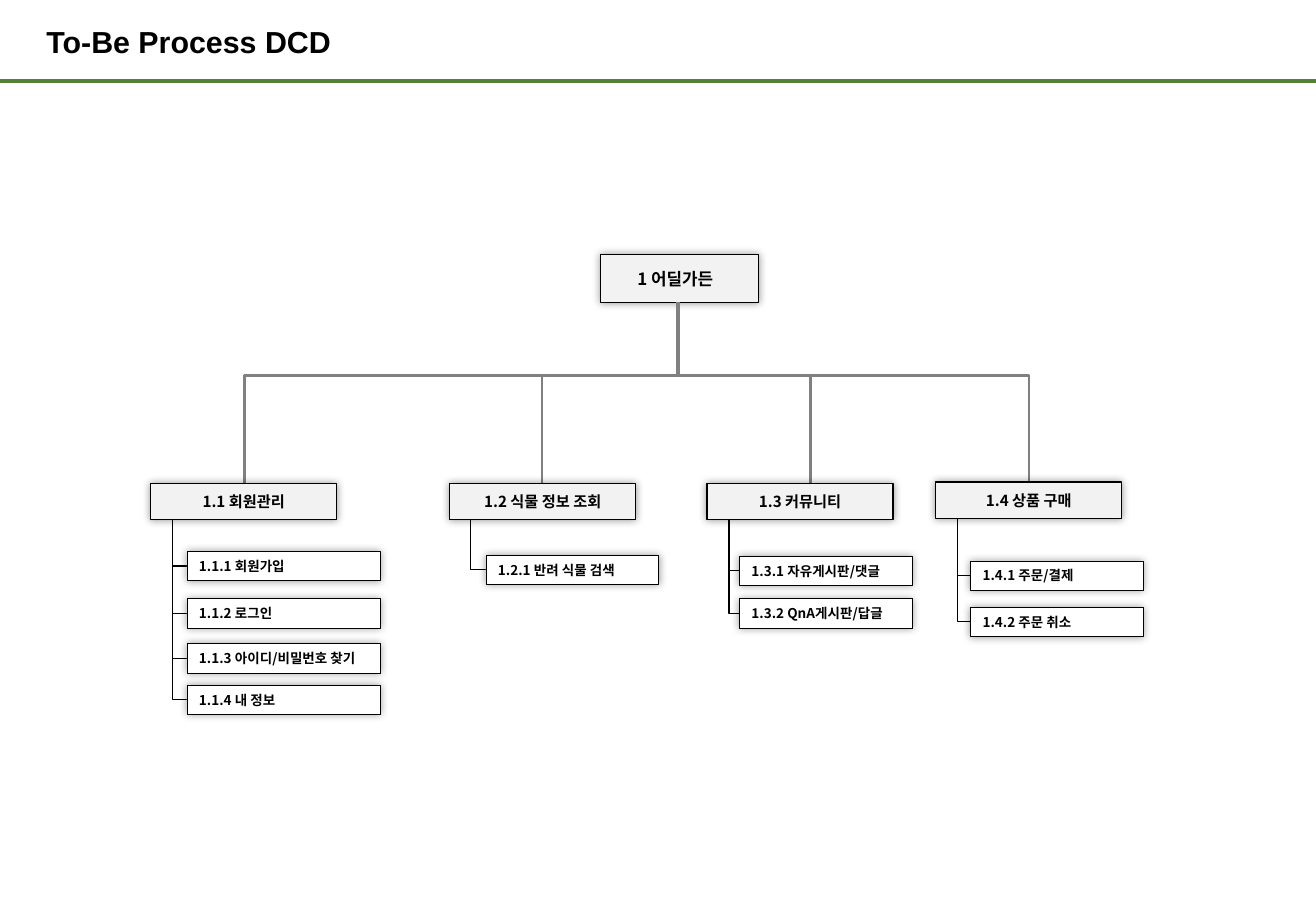
import pptx
import pptx.util
import pptx.dml.color
import pptx.enum.shapes
import pptx.enum.text
import pptx.oxml
import pptx.oxml.ns

Cm, Pt = pptx.util.Cm, pptx.util.Pt
PP_ALIGN = pptx.enum.text.PP_ALIGN
CONNECTOR = pptx.enum.shapes.MSO_CONNECTOR

COLORS = {"black": "000000", "rule": "548235", "trunk": "808080",
          "heading": "F2F2F2", "leaf": "FFFFFF"}
KOREAN_FONT = "Noto Sans CJK KR"
HEADING_W, HEADING_H, LEAF_H = 3.89, 0.76, 0.61
TRUNK_Y = 7.85

# Each branch: heading, left, top, x of the trunk drop, x of the leaf stem,
# leaf left, leaf width, then (leaf text, leaf top) pairs
BRANCHES = [
    ("1.1 회원관리", 3.15, 10.11, 5.11, 3.61, 3.91, 4.04,
     [("1.1.1 회원가입", 11.53), ("1.1.2 로그인", 12.52),
      ("1.1.3 아이디/비밀번호 찾기", 13.46), ("1.1.4 내 정보", 14.33)]),
    ("1.2 식물 정보 조회", 9.4, 10.11, 11.33, 9.83, 10.16, 3.61,
     [("1.2.1 반려 식물 검색", 11.61)]),
    ("1.3 커뮤니티", 14.78, 10.11, 16.94, 15.24, 15.46, 3.61,
     [("1.3.1 자유게시판/댓글", 11.63), ("1.3.2 QnA게시판/답글", 12.52)]),
    ("1.4 상품 구매", 19.56, 10.08, 21.51, 20.02, 20.29, 3.61,
     [("1.4.1 주문/결제", 11.73), ("1.4.2 주문 취소", 12.7)]),
]


def color(name):
    return pptx.dml.color.RGBColor.from_string(COLORS[name])


def write(shape, text, size, font_name, align):
    frame = shape.text_frame
    frame.word_wrap = True
    frame.vertical_anchor = pptx.enum.text.MSO_ANCHOR.MIDDLE
    paragraph = frame.paragraphs[0]
    paragraph.text = text
    paragraph.alignment = align
    font = paragraph.font
    font.size, font.name, font.bold = Pt(size), font_name, True
    font.color.rgb = color("black")
    # Hangul takes its typeface from the East Asian font of each run
    for run in paragraph.runs:
        east_asian = pptx.oxml.parse_xml(
            f'<a:ea {pptx.oxml.ns.nsdecls("a")} typeface="{font_name}"/>')
        run.font._element.append(east_asian)


def add_glow_shadow(shape):
    """Give the shape a soft shadow spreading evenly on all sides."""
    shape._element.spPr.append(pptx.oxml.parse_xml(
        f'<a:effectLst {pptx.oxml.ns.nsdecls("a")}>'
        f'<a:outerShdw blurRad="{Pt(5)}" dist="0" algn="ctr" rotWithShape="0">'
        f'<a:srgbClr val="{COLORS["black"]}"><a:alpha val="40000"/></a:srgbClr>'
        '</a:outerShdw></a:effectLst>'))


def add_box(slide, text, left, top, width, height, fill, size, line_width,
            align=PP_ALIGN.CENTER):
    box = slide.shapes.add_shape(pptx.enum.shapes.MSO_SHAPE.RECTANGLE,
                                 Cm(left), Cm(top), Cm(width), Cm(height))
    box.fill.solid()
    box.fill.fore_color.rgb = color(fill)
    box.line.color.rgb = color("black")
    box.line.width = Pt(line_width)
    add_glow_shadow(box)
    write(box, text, size, KOREAN_FONT, align)
    return box


def add_line(slide, x1, y1, x2, y2, line_color, width, kind=CONNECTOR.STRAIGHT):
    line = slide.shapes.add_connector(kind, Cm(x1), Cm(y1), Cm(x2), Cm(y2))
    line.line.color.rgb = color(line_color)
    line.line.width = Pt(width)
    line._element.spPr.append(pptx.oxml.parse_xml(
        f'<a:effectLst {pptx.oxml.ns.nsdecls("a")}/>'))
    return line


def add_elbow(slide, x1, y1, x2, y2, line_color, width):
    """Draw a connector with one corner: sideways first, then up or down."""
    elbow = add_line(slide, x1, y1, x2, y2, line_color, width, CONNECTOR.ELBOW)
    elbow._element.spPr.prstGeom.set("prst", "bentConnector2")


def add_header(slide, slide_width):
    add_line(slide, 0, 1.7, slide_width, 1.7, "rule", 2.25)
    title = slide.shapes.add_textbox(Cm(0.97), Cm(0), Cm(17.98), Cm(1.73))
    frame = title.text_frame
    frame.margin_left = frame.margin_right = 0
    frame.margin_top = frame.margin_bottom = 0
    write(title, "To-Be Process DCD", 18, "Arial", PP_ALIGN.LEFT)


def add_root(slide):
    root = add_box(slide, "1 어딜가든", 12.55, 5.32, 3.3, 1, "heading", 10, 0.75)
    root.text_frame.margin_left = Cm(0.08)
    add_line(slide, 14.17, 6.32, 14.17, TRUNK_Y, "trunk", 2.75)


def add_branch(slide, heading, left, top, drop_x, stem_x, leaf_left, leaf_width,
               leaves):
    add_elbow(slide, 14.17, TRUNK_Y, drop_x, top, "trunk", 1.5)
    for text, leaf_top in leaves:
        add_elbow(slide, leaf_left, leaf_top + LEAF_H / 2,
                  stem_x, top + HEADING_H, "black", 0.75)
        add_box(slide, text, leaf_left, leaf_top, leaf_width, LEAF_H,
                "leaf", 8, 0.25, PP_ALIGN.LEFT)
    add_box(slide, heading, left, top, HEADING_W, HEADING_H, "heading", 9, 0.75)


def main():
    presentation = pptx.Presentation()
    presentation.slide_width, presentation.slide_height = Cm(27.51), Cm(19.05)
    slide = presentation.slides.add_slide(presentation.slide_layouts[6])
    add_header(slide, 27.51)
    add_root(slide)
    for branch in BRANCHES:
        add_branch(slide, *branch)
    presentation.save("out.pptx")


if __name__ == "__main__":
    main()
